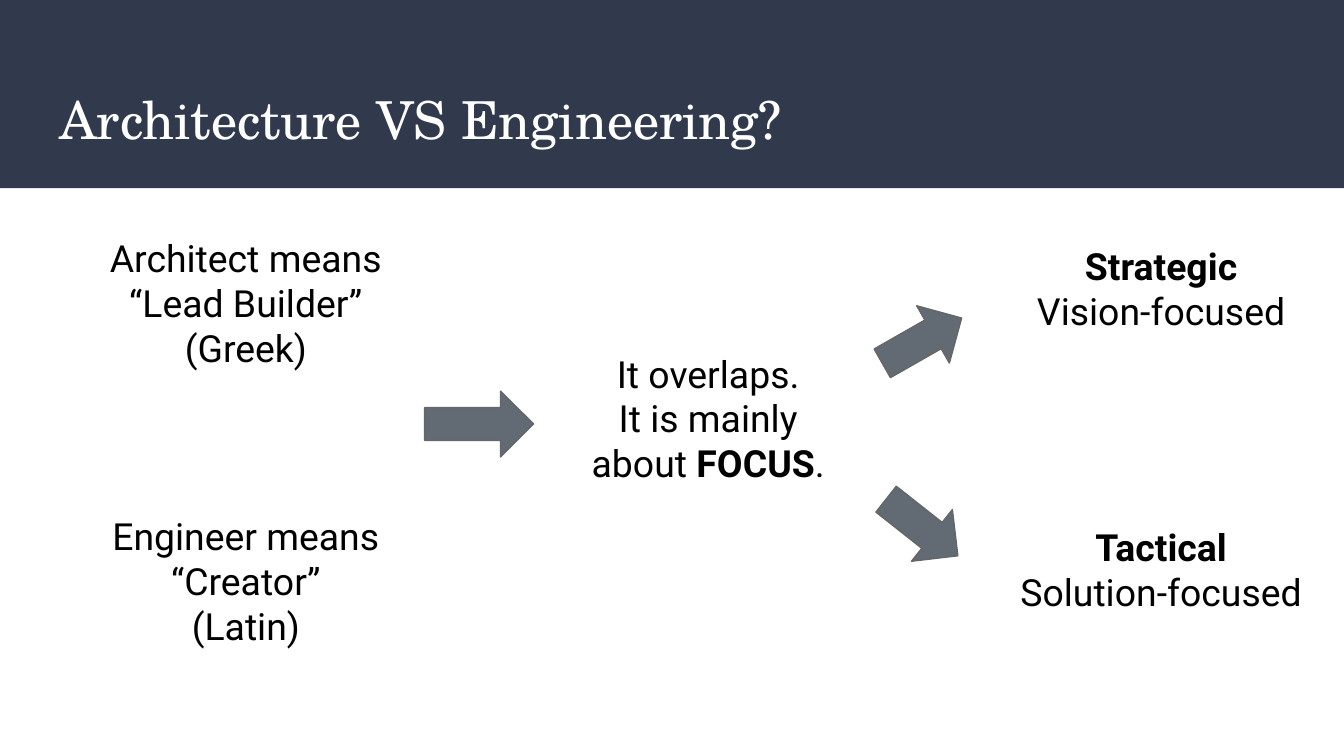
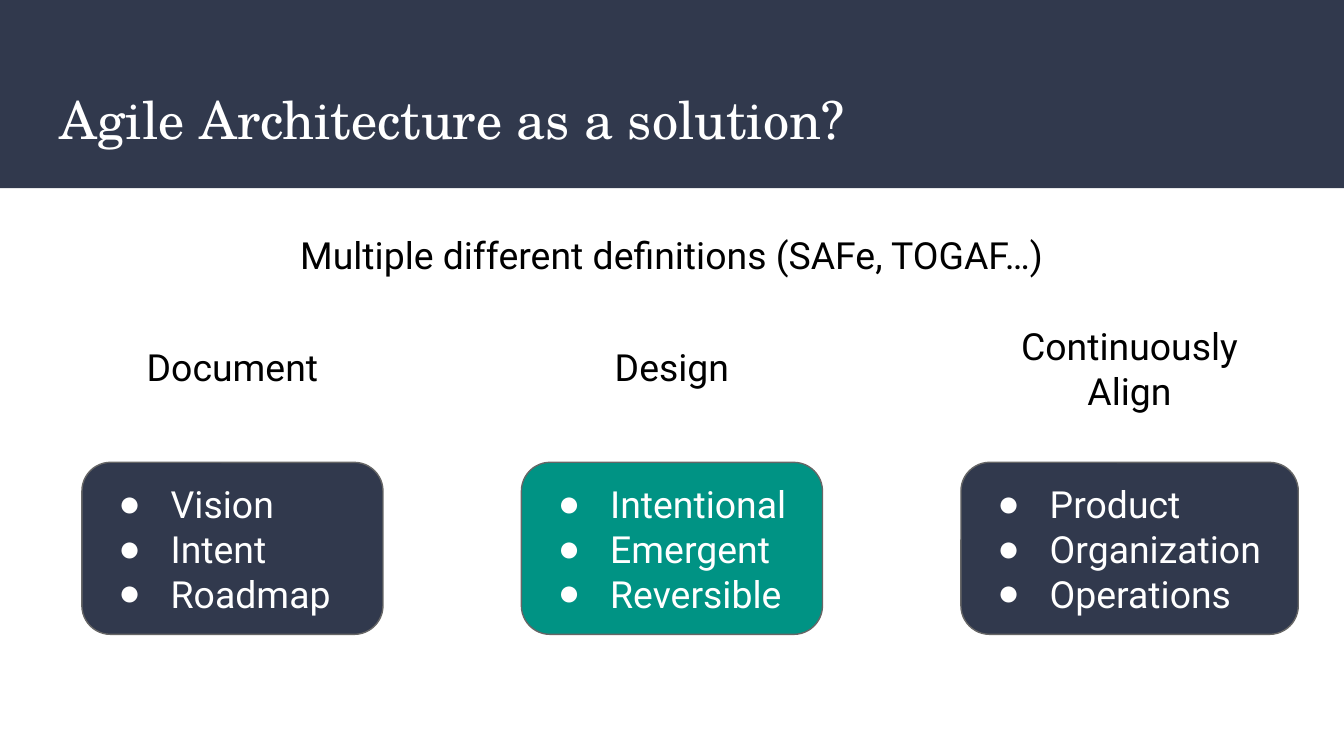
from lxml.etree import SubElement
from pptx import Presentation
from pptx.dml.color import RGBColor
from pptx.enum.shapes import MSO_SHAPE as Preset
from pptx.enum.text import MSO_ANCHOR as Anchor, MSO_AUTO_SIZE as AutoSize, PP_ALIGN as Align
from pptx.oxml.ns import qn
from pptx.util import Inches, Pt

COLORS = {
    "navy": "31394D",
    "teal": "009384",
    "slate": "626B73",
    "outline": "666666",
    "black": "000000",
    "white": "FFFFFF",
}
TITLE_FONT = "TeX Gyre Schola"
BODY_FONT = "Roboto"
BULLET_FONT = "Arial"


def color(name):
    return RGBColor.from_string(COLORS[name])


def style_font(font, name, size, tone):
    font.name = name
    font.size = Pt(size)
    font.color.rgb = color(tone)


def set_frame(frame, anchor):
    frame.word_wrap = True
    frame.auto_size = AutoSize.NONE
    frame.vertical_anchor = anchor
    frame.margin_left = frame.margin_right = Inches(0.1)
    frame.margin_top = frame.margin_bottom = Inches(0.1)


def add_filled(shapes, preset, box, fill, outline=None):
    shape = shapes.add_shape(preset, *map(Inches, box))
    shape.shadow.inherit = False
    shape.fill.solid()
    shape.fill.fore_color.rgb = color(fill)
    if outline:
        shape.line.color.rgb = color(outline)
        shape.line.width = Pt(0.75)
    else:
        shape.line.fill.background()
    return shape


def add_label(shapes, box, lines, bold_words=()):
    frame = shapes.add_textbox(*map(Inches, box)).text_frame
    set_frame(frame, Anchor.TOP)
    for index, pieces in enumerate(lines):
        para = frame.add_paragraph() if index else frame.paragraphs[0]
        para.alignment = Align.CENTER
        for piece in pieces:
            span = para.add_run()
            span.text = piece
            style_font(span.font, BODY_FONT, 20, "black")
            span.font.bold = piece in bold_words


def add_arrow(shapes, box, rotation=0):
    arrow = add_filled(shapes, Preset.RIGHT_ARROW, box, "slate", "outline")
    arrow.rotation = rotation


def add_bullet(para):
    properties = para._p.get_or_add_pPr()
    properties.set("marL", str(Inches(0.5)))
    properties.set("indent", str(Inches(-0.39)))
    tone = SubElement(properties, qn("a:buClr"))
    SubElement(tone, qn("a:srgbClr"), val=COLORS["white"])
    SubElement(properties, qn("a:buFont"), typeface=BULLET_FONT)
    SubElement(properties, qn("a:buChar"), char="●")


def add_card(shapes, box, fill, items):
    card = add_filled(shapes, Preset.ROUNDED_RECTANGLE, box, fill, "outline")
    frame = card.text_frame
    set_frame(frame, Anchor.MIDDLE)
    frame.text = "\n".join(items)
    for para in frame.paragraphs:
        add_bullet(para)
        para.alignment = Align.LEFT
        style_font(para.runs[0].font, BODY_FONT, 20, "white")


def add_band(page):
    band = add_filled(page.shapes, Preset.RECTANGLE, (0, 0, 10, 1.4), "navy")
    page.slide_layout.shapes.element.insert(2, band.element)


def add_page(deck, title):
    page = deck.slides.add_slide(deck.slide_layouts[5])
    holder = page.shapes.title
    holder.left, holder.top, holder.width, holder.height = map(Inches, (0.34, 0.55, 9.32, 0.68))
    frame = holder.text_frame
    set_frame(frame, Anchor.TOP)
    frame.text = title
    para = frame.paragraphs[0]
    para.alignment = Align.LEFT
    style_font(para.runs[0].font, TITLE_FONT, 28, "white")
    return page


def add_focus(shapes, left, top):
    add_label(
        shapes,
        (left + 1.08, top, 2.06, 1.29),
        [["It overlaps."], ["It is mainly about ", "FOCUS", "."]],
        ["FOCUS"],
    )
    add_arrow(shapes, (left, top + 0.4, 0.81, 0.49))


def add_outcome(shapes, arrow_top, rotation, label_top, name, detail):
    add_arrow(shapes, (6.52, arrow_top, 0.68, 0.49), rotation)
    add_label(shapes, (7.28, label_top, 2.72, 1.1), [[name], [detail]], [name])


def build_comparison(deck):
    page = add_page(deck, "Architecture VS Engineering?")
    add_band(page)
    meanings = [
        (1.65, "Architect means “Lead Builder”", "(Greek)"),
        (3.72, "Engineer means “Creator”", "(Latin)"),
    ]
    for top, meaning, language in meanings:
        add_label(page.shapes, (0.43, top, 2.8, 1.1), [[meaning], [language]])
    add_focus(page.shapes.add_group_shape().shapes, 3.16, 2.51)
    outcomes = [
        (2.29, 330.3, 1.71, "Strategic", "Vision-focused"),
        (3.68, 38.3, 3.8, "Tactical", "Solution-focused"),
    ]
    for outcome in outcomes:
        add_outcome(page.shapes.add_group_shape().shapes, *outcome)


def build_solution(deck):
    page = add_page(deck, "Agile Architecture as a solution?")
    add_label(
        page.shapes,
        (2.13, 1.63, 5.74, 0.54),
        [["Multiple different definitions (SAFe, TOGAF…)"]],
    )
    columns = [
        ("Document", 0.54, 2.24, "navy", ["Vision", "Intent", "Roadmap"]),
        ("Design", 0.54, 2.24, "teal", ["Intentional", "Emergent", "Reversible"]),
        ("Continuously Align", 0.85, 2.51, "navy", ["Product", "Organization", "Operations"]),
    ]
    headings = page.shapes.add_group_shape().shapes
    heading_width, heading_middle = 2.24, 2.73
    for index, (heading, height, width, fill, items) in enumerate(columns):
        left = 0.61 + 3.27 * index
        add_card(page.shapes, (left, 3.44, width, 1.28), fill, items)
        heading_left = left + (width - heading_width) / 2
        heading_top = heading_middle - height / 2
        add_label(headings, (heading_left, heading_top, heading_width, height), [[heading]])


def main():
    deck = Presentation()
    deck.slide_width = Inches(10)
    deck.slide_height = deck.slide_width * 9 // 16
    build_comparison(deck)
    build_solution(deck)
    deck.save("out.pptx")


if __name__ == "__main__":
    main()
